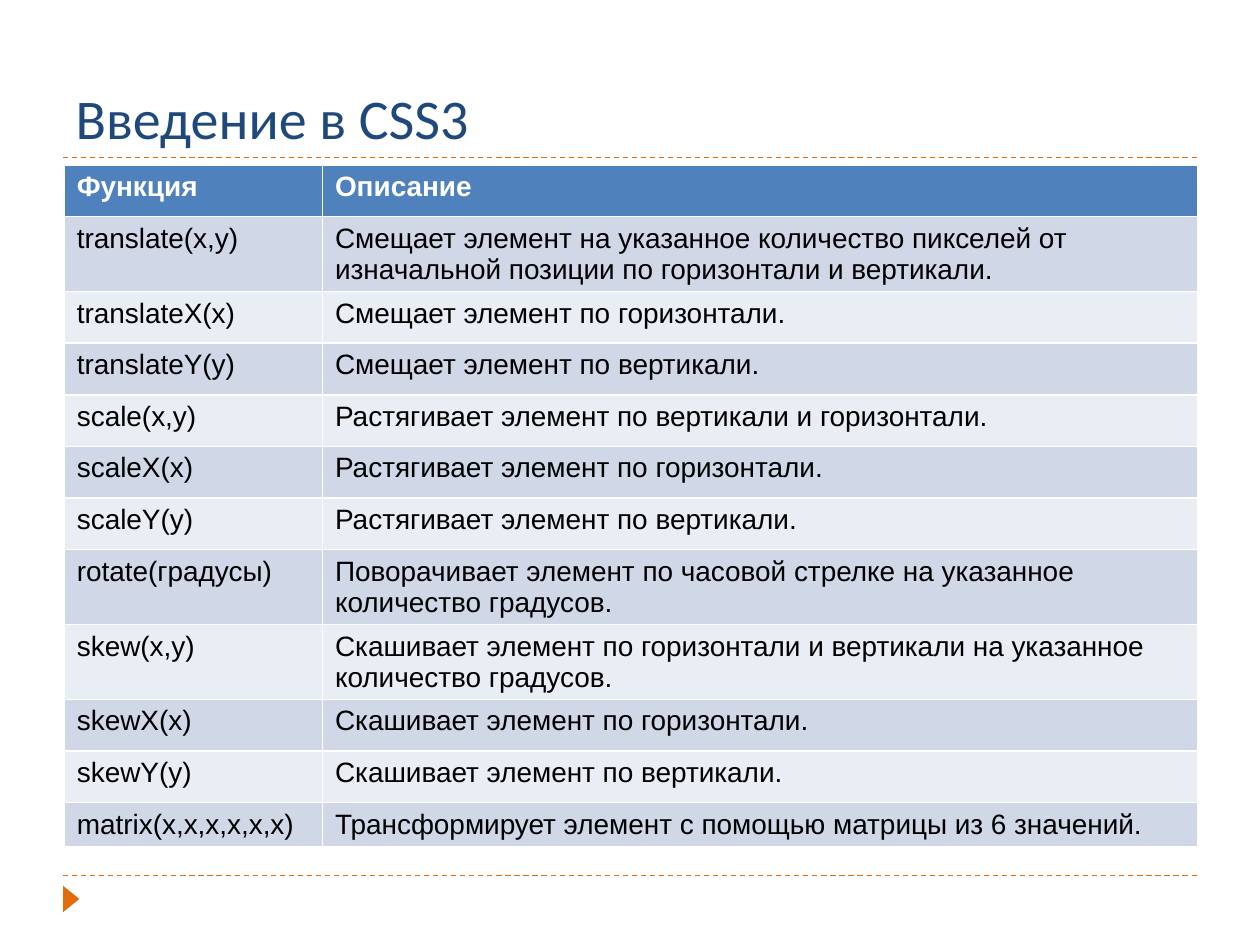
"""Build a slide with a table of CSS3 transform functions."""
from lxml import etree
from pptx import Presentation
from pptx import util as u
from pptx.dml.color import RGBColor
from pptx.enum import dml, shapes, text
from pptx.oxml.ns import qn

HUES = {"title": "1F497D", "accent": "E36C09", "head": "4F81BD", "odd": "D0D8E8",
        "even": "E9EDF4", "white": "FFFFFF", "black": "000000"}
ROWS = [
    ("Функция", "Описание"),
    ("translate(x,y)", "Смещает элемент на указанное количество пикселей от "
     "изначальной позиции по горизонтали и вертикали."),
    ("translateX(x)", "Смещает элемент по горизонтали."),
    ("translateY(y)", "Смещает элемент по вертикали."),
    ("scale(x,y)", "Растягивает элемент по вертикали и горизонтали."),
    ("scaleX(x)", "Растягивает элемент по горизонтали."),
    ("scaleY(y)", "Растягивает элемент по вертикали."),
    ("rotate(градусы)", "Поворачивает элемент по часовой стрелке на указанное "
     "количество градусов."),
    ("skew(x,y)", "Скашивает элемент по горизонтали и вертикали на указанное "
     "количество градусов."),
    ("skewX(x)", "Скашивает элемент по горизонтали."),
    ("skewY(y)", "Скашивает элемент по вертикали."),
    ("matrix(x,x,x,x,x,x)", "Трансформирует элемент с помощью матрицы из 6 значений."),
]


def hue(name):
    return RGBColor.from_string(HUES[name])


def style(para, face, size, name, bold=False):
    font = para.font
    font.name, font.size, font.bold = face, u.Pt(size), bold
    font.color.rgb = hue(name)


deck = Presentation()
deck.slide_width, deck.slide_height = u.Inches(10), u.Inches(7.5)
slide = deck.slides.add_slide(deck.slide_layouts[5])
edge, wide = u.Inches(0.5), u.Inches(9)

for y in (6.95, 1.25):
    rule = slide.shapes.add_connector(
        shapes.MSO_CONNECTOR.STRAIGHT, edge, u.Inches(y), edge + wide, u.Inches(y))
    rule.line.color.rgb = hue("accent")
    rule.line.width = u.Pt(0.75)
    rule.line.dash_style = dml.MSO_LINE.DASH
    etree.SubElement(rule._element.spPr, qn("a:effectLst"))

mark = slide.shapes.add_shape(
    shapes.MSO_SHAPE.ISOSCELES_TRIANGLE,
    u.Inches(0.46), u.Inches(7.07), u.Inches(0.21), u.Inches(0.13))
mark.rotation = 90
mark.shadow.inherit = False
mark.fill.solid()
mark.fill.fore_color.rgb = hue("accent")
mark.line.fill.background()

title = slide.shapes.title
title.left, title.top = edge, u.Inches(0.17)
title.width, title.height = wide, u.Inches(1.08)
frame = title.text_frame
frame.text = "Введение в CSS3"
frame.auto_size = text.MSO_AUTO_SIZE.NONE
frame.vertical_anchor = text.MSO_ANCHOR.BOTTOM
frame.paragraphs[0].alignment = text.PP_ALIGN.LEFT
style(frame.paragraphs[0], "Calibri", 32, "title")

grid = slide.shapes.add_table(
    len(ROWS), 2, u.Inches(0.51), u.Inches(1.31), wide, u.Inches(4.64)).table
for col, size in zip(grid.columns, (2.05, 6.95)):
    col.width = u.Inches(size)
for r, row in enumerate(ROWS):
    grid.rows[r].height = u.Inches(0.13 if r == len(ROWS) - 1 else 0.41)
    band = "head" if r == 0 else "odd" if r % 2 else "even"
    for c, words in enumerate(row):
        cell = grid.cell(r, c)
        cell.text = words
        cell.fill.solid()
        cell.fill.fore_color.rgb = hue(band)
        style(cell.text_frame.paragraphs[0], "Arial", 16,
              "black" if r else "white", r == 0)

deck.save("out.pptx")
